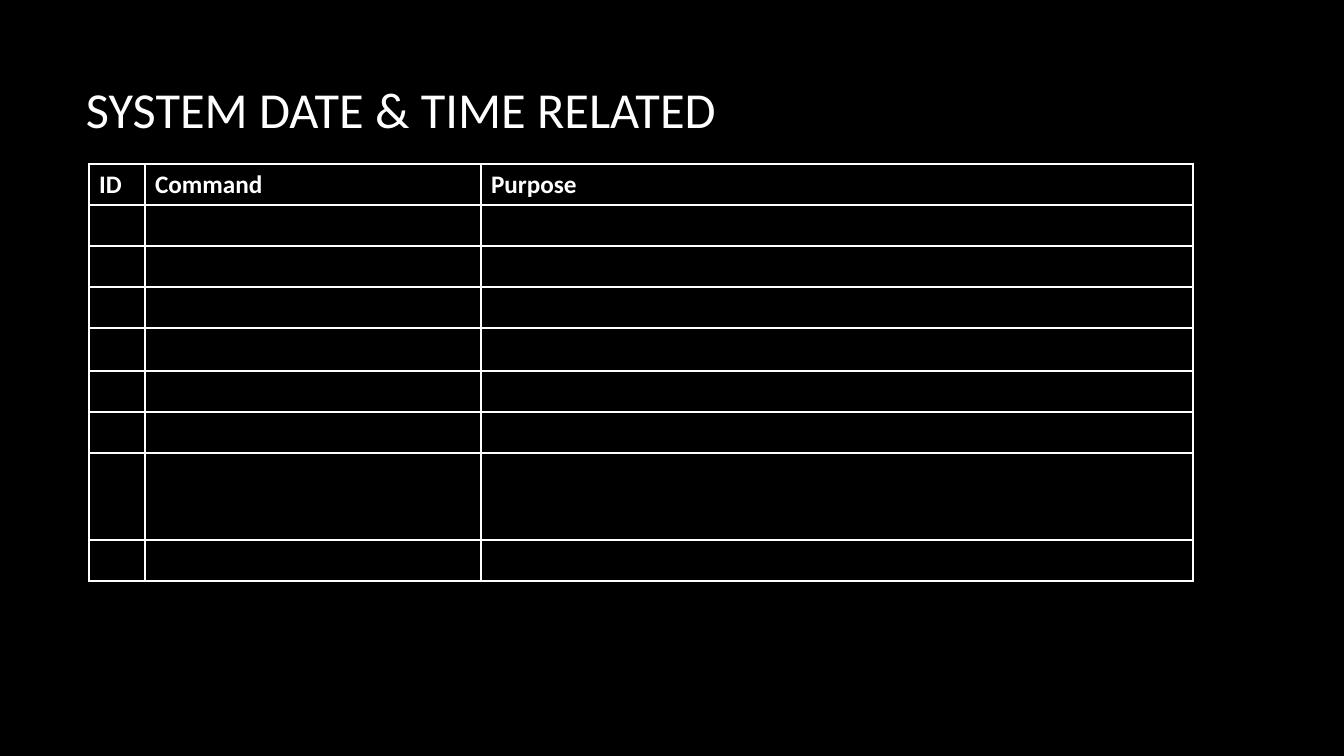
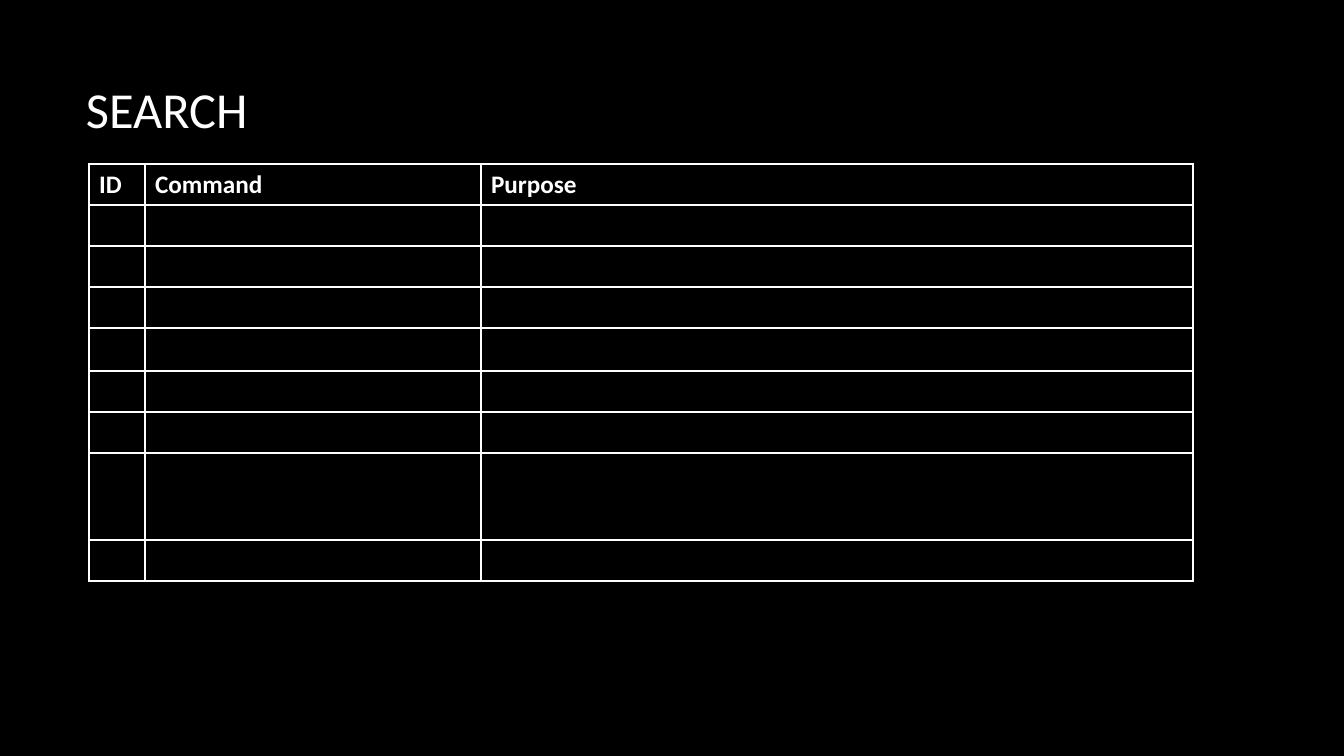
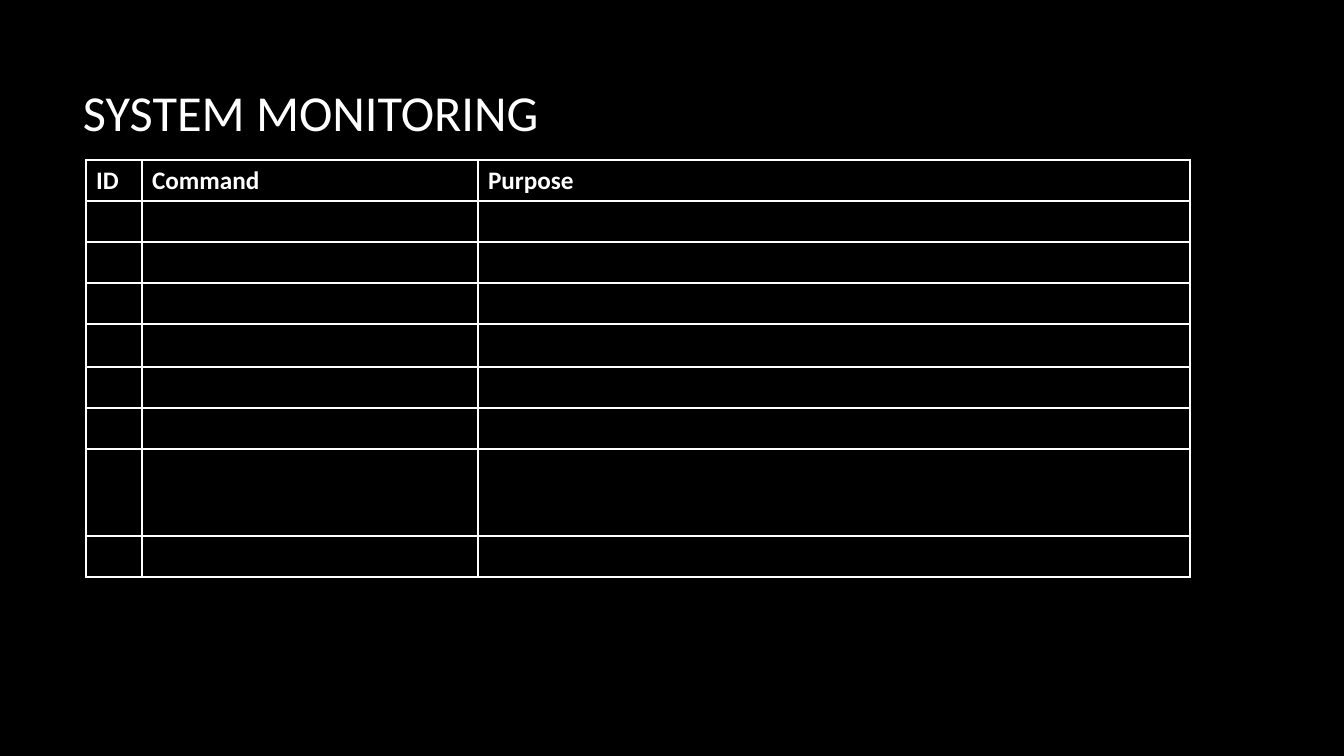
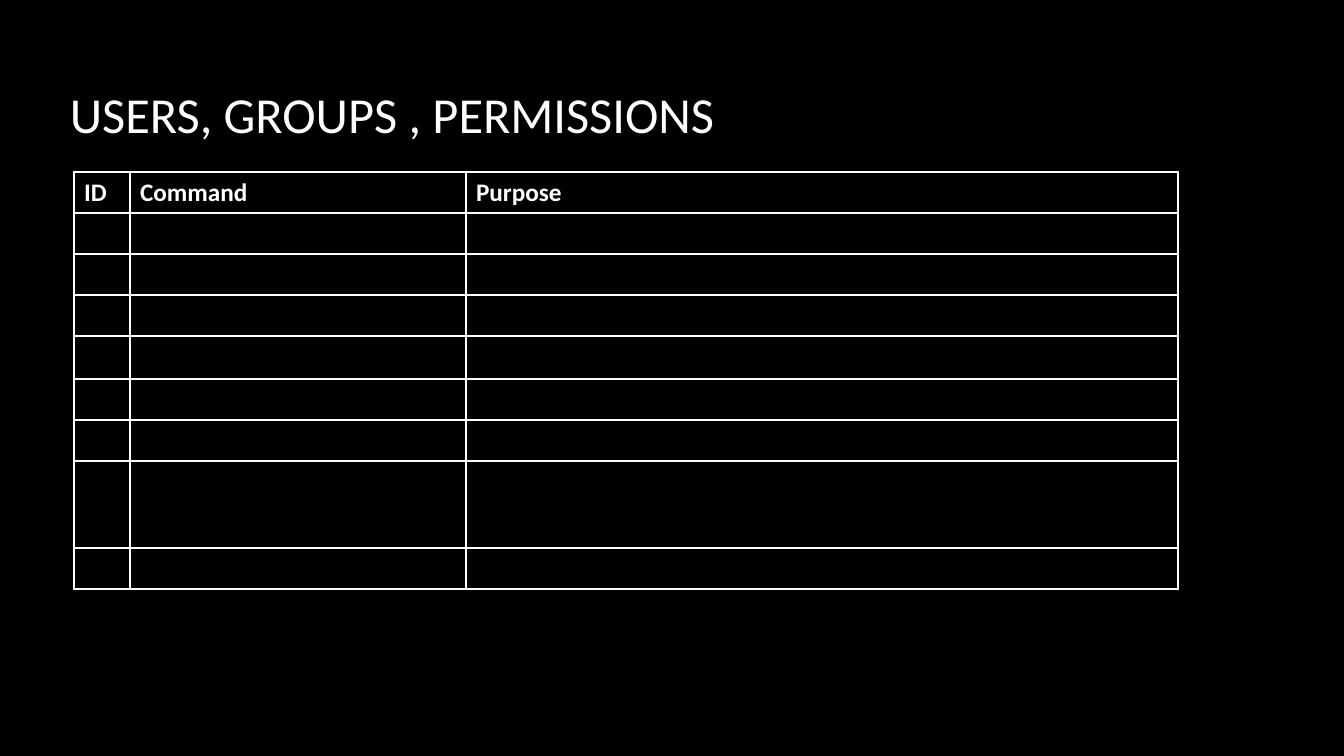
from lxml.etree import SubElement as Sub
from pptx import Presentation
from pptx.dml.color import RGBColor as RGB
from pptx.enum.text import MSO_ANCHOR as Anchor
from pptx.oxml.ns import qn
from pptx.util import Pt

SCALE = 914400 / 100.8
FONT = "Calibri"
COLORS = {"back": "000000", "text": "FFFFFF", "rule": "FFFFFF"}
HEADS = ["ID", "Command", "Purpose"]
COLS = [56, 336, 712]
ROWS = [41, 41, 41, 41, 43, 41, 41, 87, 41]
SLIDES = [
    ("SYSTEM DATE & TIME RELATED", (76, 68, 1117, 74), (89, 164)),
    ("SEARCH", (76, 68, 1117, 74), (89, 164)),
    ("SYSTEM MONITORING", (73, 28, 1117, 160), (86, 160)),
    ("USERS, GROUPS , PERMISSIONS", (60, 30, 1117, 160), (74, 172)),
]


def px(*sizes):
    return [round(size * SCALE) for size in sizes]


def style(para, size, bold=False):
    para.font.name = FONT
    para.font.size = Pt(size)
    para.font.bold = bold
    para.font.color.rgb = RGB.from_string(COLORS["text"])


deck = Presentation()
deck.slide_width, deck.slide_height = px(1344, 756)
fill = deck.slide_master.background.fill
fill.solid()
fill.fore_color.rgb = RGB.from_string(COLORS["back"])

for title, box, spot in SLIDES:
    slide = deck.slides.add_slide(deck.slide_layouts[6])
    frame = slide.shapes.add_textbox(*px(*box)).text_frame
    frame.word_wrap = True
    frame.vertical_anchor = Anchor.MIDDLE
    frame.margin_top, frame.margin_bottom = px(11, 5)
    frame.text = title
    style(frame.paragraphs[0], 36)

    place = px(*spot, sum(COLS), sum(ROWS))
    table = slide.shapes.add_table(len(ROWS), len(COLS), *place).table
    table.first_row = table.horz_banding = False
    for col, width in zip(table.columns, px(*COLS)):
        col.width = width
    for row, height in zip(table.rows, px(*ROWS)):
        row.height = height
    for cell, head in zip(table.rows[0].cells, HEADS):
        cell.text = head
        style(cell.text_frame.paragraphs[0], 18, True)
    for cell in table.iter_cells():
        props = cell._tc.get_or_add_tcPr()
        for side in ("lnL", "lnR", "lnT", "lnB"):
            line = Sub(props, qn("a:" + side), w=str(Pt(1)))
            paint = Sub(line, qn("a:solidFill"))
            Sub(paint, qn("a:srgbClr"), val=COLORS["rule"])
        cell.fill.solid()
        cell.fill.fore_color.rgb = RGB.from_string(COLORS["back"])

deck.save("out.pptx")
